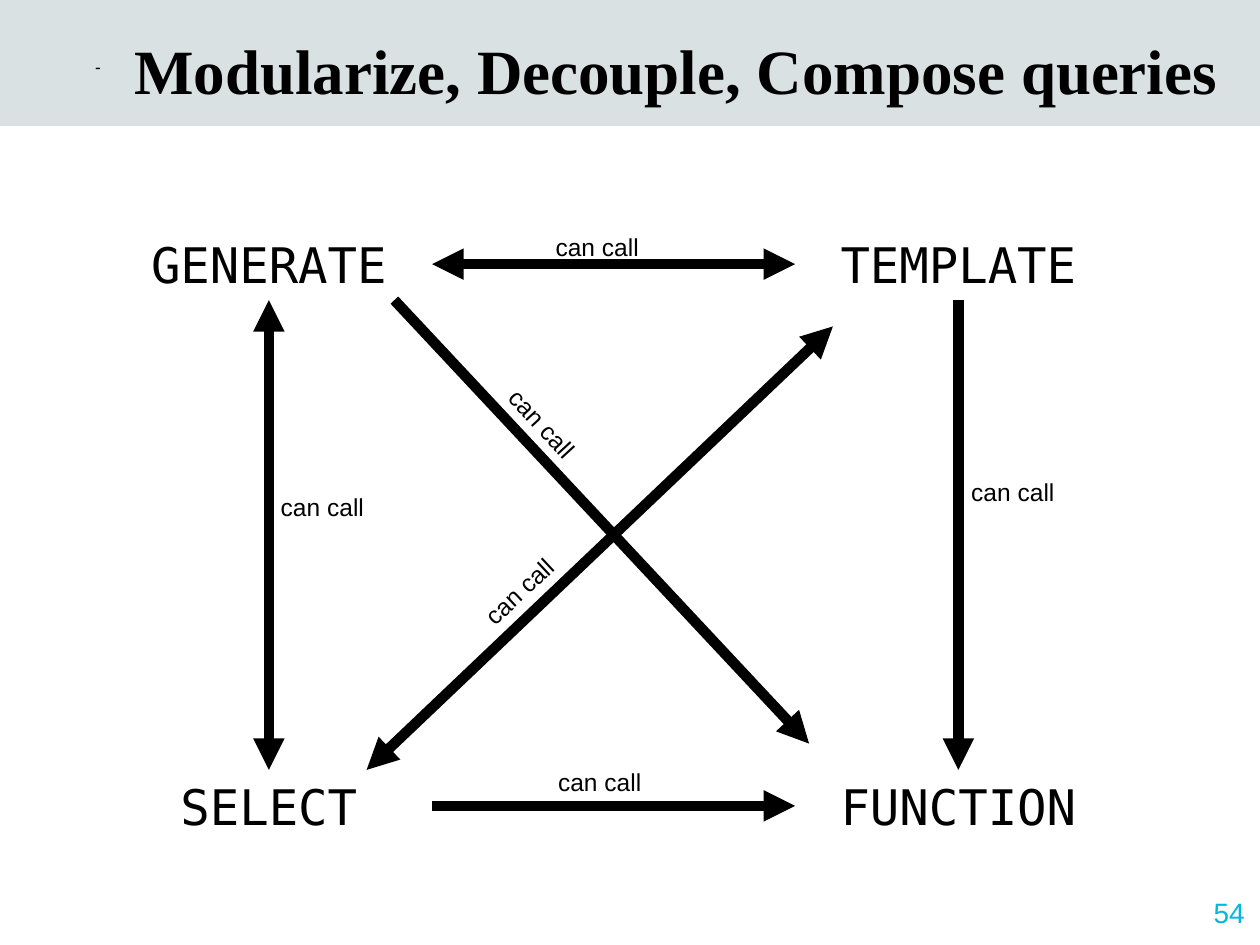
import dataclasses

import lxml.etree
import pptx
import pptx.dml.color
import pptx.enum.shapes
import pptx.enum.text
import pptx.oxml.ns
import pptx.util

Cm = pptx.util.Cm
Pt = pptx.util.Pt
Align = pptx.enum.text.PP_ALIGN
Anchor = pptx.enum.text.MSO_ANCHOR
AutoSize = pptx.enum.text.MSO_AUTO_SIZE
qn = pptx.oxml.ns.qn


@dataclasses.dataclass(frozen=True)
class Theme:
    ink: str = "000000"
    band: str = "D9E1E2"
    accent: str = "00B8DE"
    title_font: str = "Times New Roman"
    code_font: str = "DejaVu Sans Mono"
    body_font: str = "Arial"
    title_size: int = 36
    node_size: int = 28
    page_size: int = 16
    label_size: int = 14
    arrow_width: int = 6


def rgb(code):
    return pptx.dml.color.RGBColor.from_string(code)


def write_text(frame, text, *, font, size, color, bold=False, align=Align.LEFT):
    paragraph = frame.paragraphs[0]
    paragraph.alignment = align
    run = paragraph.add_run()
    run.text = text
    run.font.name = font
    run.font.size = Pt(size)
    run.font.bold = bold
    run.font.color.rgb = rgb(color)
    return paragraph


class SlideBuilder:
    def __init__(self, slide, theme):
        self.slide = slide
        self.theme = theme

    def frame(self, left, top, width, height, *, inset=True, wrap=True, rotation=0):
        box = self.slide.shapes.add_textbox(Cm(left), Cm(top), Cm(width), Cm(height))
        box.rotation = rotation
        frame = box.text_frame
        frame.word_wrap = wrap
        if not inset:
            frame.margin_left = frame.margin_right = 0
            frame.margin_top = frame.margin_bottom = 0
        return frame

    def band(self, width, height):
        band = self.slide.shapes.add_shape(
            pptx.enum.shapes.MSO_SHAPE.RECTANGLE, 0, 0, Cm(width), Cm(height))
        band.shadow.inherit = False
        band.fill.solid()
        band.fill.fore_color.rgb = rgb(self.theme.band)
        band.line.fill.background()

    def title(self, text, *place):
        theme = self.theme
        heading = write_text(
            self.frame(*place, inset=False), text, font=theme.title_font,
            size=theme.title_size, color=theme.ink, bold=True, align=Align.CENTER)
        heading.space_after = Pt(2)
        properties = heading._p.get_or_add_pPr()
        properties.set("marL", str(Cm(0.79)))
        properties.set("indent", str(Cm(-0.79)))
        lxml.etree.SubElement(properties, qn("a:buSzPct")).set("val", "25000")
        lxml.etree.SubElement(properties, qn("a:buChar")).set("char", "-")

    def page_number(self, text, *place):
        theme = self.theme
        frame = self.frame(*place, inset=False)
        frame.vertical_anchor = Anchor.MIDDLE
        write_text(frame, text, font=theme.body_font, size=theme.page_size,
                   color=theme.accent, align=Align.RIGHT)

    def node(self, text, *place):
        theme = self.theme
        frame = self.frame(*place)
        frame.auto_size = AutoSize.SHAPE_TO_FIT_TEXT
        write_text(frame, text, font=theme.code_font, size=theme.node_size,
                   color=theme.ink, align=Align.CENTER)

    def label(self, text, left, top, rotation=0):
        theme = self.theme
        frame = self.frame(left, top, 2.21, 0.86, wrap=False, rotation=rotation)
        frame.auto_size = AutoSize.SHAPE_TO_FIT_TEXT
        write_text(frame, text, font=theme.body_font, size=theme.label_size,
                   color=theme.ink)

    def arrow(self, start, end, both_ways=False):
        arrow = self.slide.shapes.add_connector(
            pptx.enum.shapes.MSO_CONNECTOR.STRAIGHT, *map(Cm, start + end))
        arrow.line.width = Pt(self.theme.arrow_width)
        arrow.line.color.rgb = rgb(self.theme.ink)
        outline = arrow.line._get_or_add_ln()
        for tip in ("a:headEnd", "a:tailEnd") if both_ways else ("a:tailEnd",):
            lxml.etree.SubElement(outline, qn(tip)).set("type", "triangle")
        lxml.etree.SubElement(arrow._element.spPr, qn("a:effectLst"))


def main():
    deck = pptx.Presentation()
    deck.slide_width, deck.slide_height = Cm(25.4), Cm(19.05)
    slide = deck.slides.add_slide(deck.slide_layouts[6])
    builder = SlideBuilder(slide, Theme())

    builder.band(25.4, 2.54)
    builder.page_number("54", 23.29, 17.83, 1.8, 1.12)
    builder.title("Modularize, Decouple, Compose queries", 1.73, 0.64, 23.01, 2.11)

    node_width, node_height = 6.58, 1.45
    left, right = 2.13, 16.03
    top, bottom = 4.6, 15.52
    for name, x, y in (
        ("GENERATE", left, top),
        ("TEMPLATE", right, top),
        ("SELECT", left, bottom),
        ("FUNCTION", right, bottom),
    ):
        builder.node(name, x, y, node_width, node_height)

    left_axis, right_axis = left + node_width / 2, right + node_width / 2
    top_axis, bottom_axis = top + node_height / 2, bottom + node_height / 2
    inner_left, inner_top = left + node_width, top + node_height
    for start, end, both_ways in (
        ((left_axis, inner_top), (left_axis, bottom), True),
        ((inner_left, bottom_axis), (right, bottom_axis), False),
        ((right_axis, inner_top), (right_axis, bottom), False),
        ((inner_left, top_axis), (right, top_axis), True),
        ((7.95, inner_top), (16.31, 14.99), False),
        ((16.79, 6.58), (7.39, bottom), True),
    ):
        builder.arrow(start, end, both_ways)

    for x, y, rotation in (
        (10.95, 4.55, 0),
        (9.83, 8.13, 47.3),
        (9.37, 11.48, 316.8),
        (19.33, 9.5, 0),
        (5.41, 9.8, 0),
        (11, 15.34, 0),
    ):
        builder.label("can call", x, y, rotation)

    deck.save("out.pptx")


if __name__ == "__main__":
    main()
